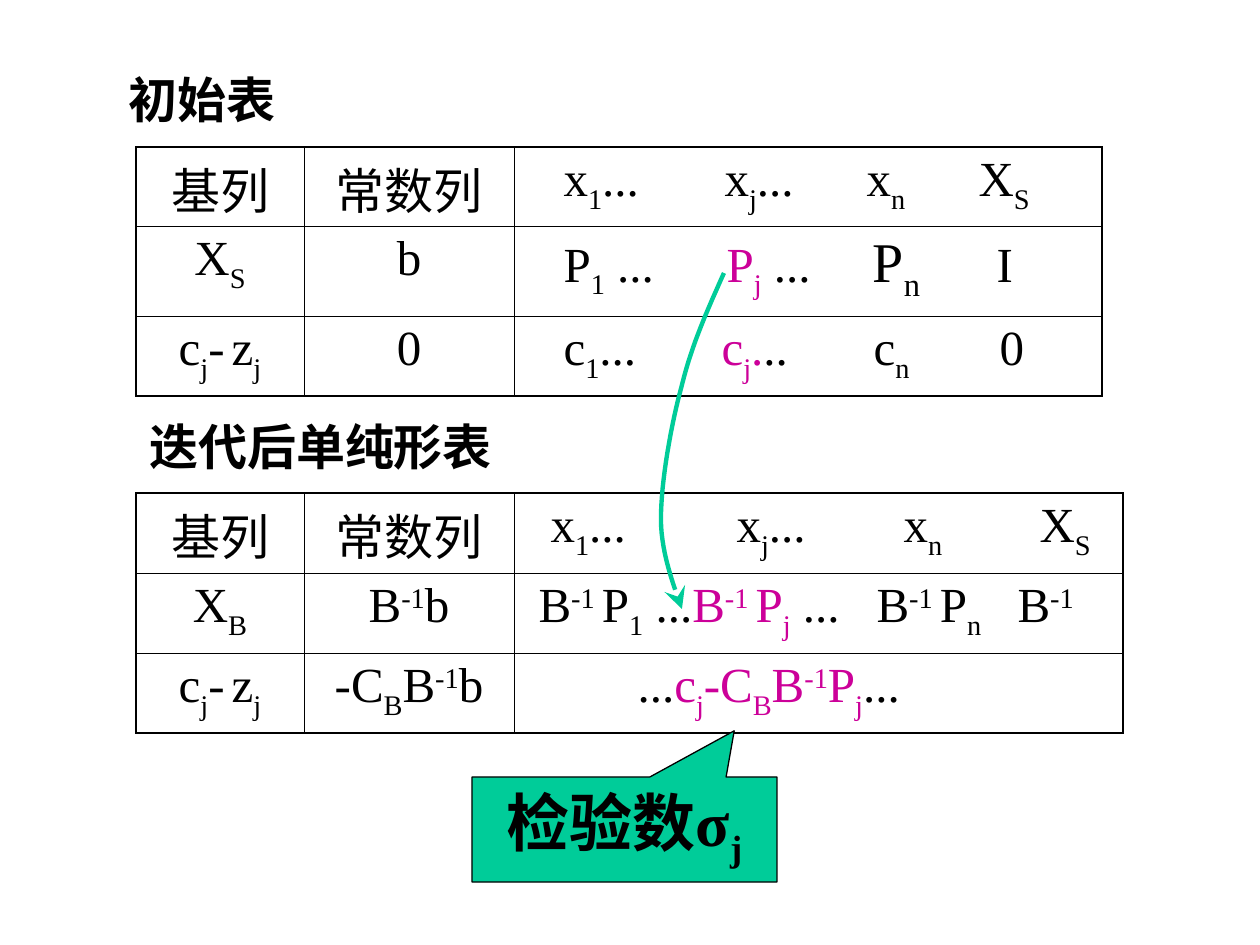
import pptx
import pptx.dml.color
import pptx.enum.shapes
import pptx.enum.text
import pptx.oxml
import pptx.oxml.ns
import pptx.util
from lxml import etree

PX = 914400 / 126
FONT = "Times New Roman"
BLACK = pptx.dml.color.RGBColor(0x00, 0x00, 0x00)
MAGENTA = pptx.dml.color.RGBColor(0xCC, 0x00, 0x99)
GREEN = pptx.dml.color.RGBColor(0x00, 0xCC, 0x99)
LEFT = pptx.enum.text.PP_ALIGN.LEFT
CENTER = pptx.enum.text.PP_ALIGN.CENTER
TOP = pptx.enum.text.MSO_ANCHOR.TOP
OUTER, INNER = 1.08, 0.45

# Each row: basis column, constant column, variables with their tab stops in px
INITIAL_ROWS = [
    ("基列", "常数列", "\tx_1_...\tx_j_...\tx_n_\tX_S_", (37, 198, 340, 452)),
    ("X_S_", "b", "\tP_1_ ...\t*P_j_* ...\t#P_n_#\tI", (37, 200, 346, 470)),
    ("c_j_-_ _z_j_", "0", "\tc_1_...\t*c_j_.*..\tc_n_\t0",
     (37, 195, 347, 473)),
]
ITERATED_ROWS = [
    ("基列", "常数列", "\tx_1_...\tx_j_...\tx_n_\tX_S_", (24, 210, 377, 513)),
    ("X_B_", "B^-1^b",
     "\tB^-1 ^P_1_ ...*B^-1 ^P_j_* ...\tB^-1 ^P_n_\tB^-1^", (12, 350, 491)),
    ("c_j_-_ _z_j_", "-C_B_B^-1^b", "\t...*c_j_-C_B_B^-1^P_j_*...", (111,)),
]


def px(length):
    return pptx.util.Emu(round(length * PX))


def box_px(*box):
    return [px(length) for length in box]


def split_markup(markup):
    """Yield (text, active marks); _ ^ * # switch sub, super, accent, large."""
    active, text = set(), ""
    for char in markup:
        if char in "_^*#":
            if text:
                yield text, set(active)
            active ^= {char}
            text = ""
        else:
            text += char
    if text:
        yield text, active


def write_text(frame, markup, size=28, bold=False, align=LEFT, anchor=TOP,
               wrap=True, tabs=()):
    frame.word_wrap = wrap
    frame.vertical_anchor = anchor
    paragraph = frame.paragraphs[0]
    paragraph.alignment = align
    if tabs:
        stops = etree.SubElement(paragraph._p.get_or_add_pPr(),
                                 pptx.oxml.ns.qn("a:tabLst"))
        for stop in tabs:
            etree.SubElement(stops, pptx.oxml.ns.qn("a:tab"),
                             pos=str(px(stop)), algn="l")
    for text, marks in split_markup(markup):
        run = paragraph.add_run()
        run.text = text
        run.font.name = FONT
        run.font.size = pptx.util.Pt(size + 4 if "#" in marks else size)
        run.font.bold = bold
        run.font.color.rgb = MAGENTA if "*" in marks else BLACK
        if "_" in marks:
            run.font._element.set("baseline", "-25000")
        elif "^" in marks:
            run.font._element.set("baseline", "30000")


def set_borders(cell, widths):
    properties = cell._tc.get_or_add_tcPr()
    for side, width in widths.items():
        line = etree.SubElement(properties, pptx.oxml.ns.qn("a:ln" + side),
                                w=str(pptx.util.Pt(width)))
        fill = etree.SubElement(line, pptx.oxml.ns.qn("a:solidFill"))
        etree.SubElement(fill, pptx.oxml.ns.qn("a:srgbClr"), val=str(BLACK))


def add_title(slide, box, text):
    title = slide.shapes.title
    title.left, title.top, title.width, title.height = box_px(*box)
    write_text(title.text_frame, text, bold=True)
    title.text_frame.auto_size = pptx.enum.text.MSO_AUTO_SIZE.NONE


def add_heading(slide, box, text):
    heading = slide.shapes.add_textbox(*box_px(*box))
    write_text(heading.text_frame, text, bold=True, wrap=False)


def add_simplex_table(slide, left, top, widths, heights, rows):
    frame = slide.shapes.add_table(
        len(heights), len(widths),
        *box_px(left, top, sum(widths), sum(heights)))
    table = frame.table
    table.first_row = table.horz_banding = False
    for column, width in zip(table.columns, widths):
        column.width = px(width)
    last_row, last_column = len(heights) - 1, len(widths) - 1
    for r, (*entries, tabs) in enumerate(rows):
        table.rows[r].height = px(heights[r])
        for c, entry in enumerate(entries):
            cell = table.cell(r, c)
            set_borders(cell, {
                "L": OUTER if c == 0 else INNER,
                "R": OUTER if c == last_column else INNER,
                "T": OUTER if r == 0 else INNER,
                "B": OUTER if r == last_row else INNER})
            cell.fill.background()
            cell.vertical_anchor = TOP
            cell.margin_bottom = px(1)
            variables = c == last_column
            write_text(cell.text_frame, entry, anchor=None,
                       align=LEFT if variables else CENTER,
                       tabs=tabs if variables else ())


def bezier_points(start, controls, steps=16):
    """Points along joined cubic curves; controls come three to a curve."""
    for i in range(0, len(controls), 3):
        curve = [start, *controls[i:i + 3]]
        for step in range(1, steps + 1):
            t = step / steps
            weights = ((1 - t)**3, 3 * t * (1 - t)**2, 3 * t**2 * (1 - t), t**3)
            yield tuple(sum(w * p[axis] for w, p in zip(weights, curve))
                        for axis in (0, 1))
        start = curve[3]


def add_curved_arrow(slide, left, top):
    offsets = [(63, 0), (47, 36), (31, 71), (21, 112), (10, 152), (0, 209),
               (0, 246), (0, 284), (17, 323), (21, 336)]
    start, *controls = [box_px(left + x, top + y) for x, y in offsets]
    builder = slide.shapes.build_freeform(*start, scale=1.0)
    builder.add_line_segments(bezier_points(start, controls), close=False)
    arrow = builder.convert_to_shape()
    arrow.shadow.inherit = False
    arrow.fill.background()
    arrow.line.color.rgb = GREEN
    arrow.line.width = pptx.util.Pt(2.5)
    etree.SubElement(arrow.line._get_or_add_ln(),
                     pptx.oxml.ns.qn("a:tailEnd"),
                     type="stealth", w="lg", len="lg")


def add_callout(slide, box, text):
    callout = slide.shapes.add_shape(
        pptx.enum.shapes.MSO_SHAPE.RECTANGULAR_CALLOUT, *box_px(*box))
    callout.adjustments[0] = 0.36
    callout.adjustments[1] = -0.94
    callout.shadow.inherit = False
    callout.fill.solid()
    callout.fill.fore_color.rgb = GREEN
    callout.line.color.rgb = BLACK
    callout.line.width = pptx.util.Pt(0.75)
    write_text(callout.text_frame, text, size=36, bold=True, align=CENTER)


def main():
    deck = pptx.Presentation()
    deck.slide_width, deck.slide_height = box_px(1260, 945)
    slide = deck.slides.add_slide(deck.slide_layouts[5])

    # Initial tableau
    add_title(slide, (116, 63, 190, 72), "初始表")
    add_simplex_table(slide, 136, 147, (168, 210, 588), (79, 90, 80),
                      INITIAL_ROWS)

    # Tableau after iteration
    add_simplex_table(slide, 136, 493, (168, 210, 609), (80, 80, 80),
                      ITERATED_ROWS)
    add_heading(slide, (137, 410, 368, 72), "迭代后单纯形表")

    # Link between the tableaus and the note on the test number
    add_curved_arrow(slide, 661, 273)
    add_callout(slide, (472, 777, 305, 105), "检验数σ_j_")
    deck.save("out.pptx")


if __name__ == "__main__":
    main()
